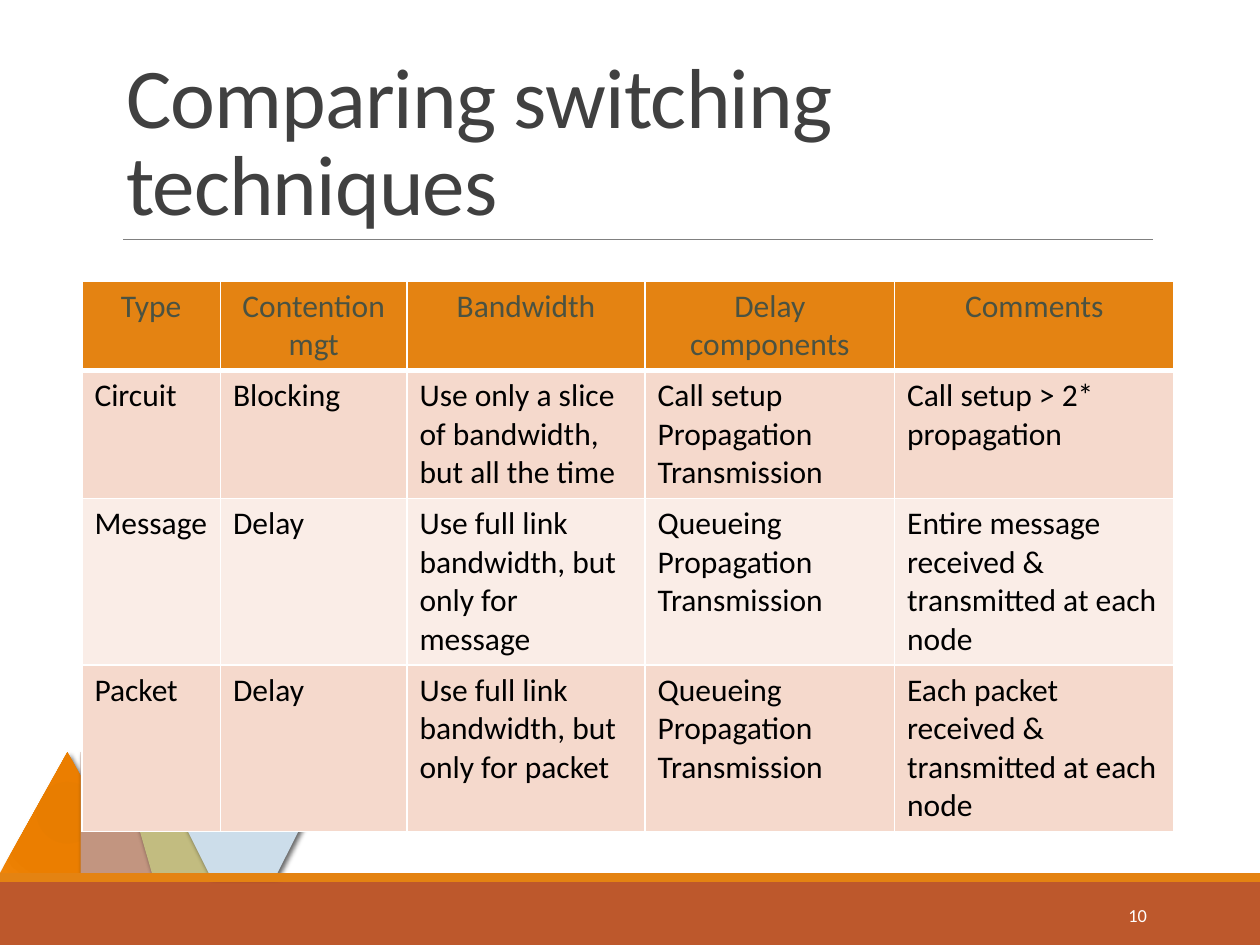
"""Build a slide comparing circuit, message and packet switching."""
from lxml import etree
from pptx import Presentation
from pptx.dml.color import RGBColor
from pptx.enum.shapes import MSO_CONNECTOR, MSO_SHAPE
from pptx.enum.text import MSO_ANCHOR, MSO_AUTO_SIZE, PP_ALIGN
from pptx.oxml import parse_xml
from pptx.oxml.ns import nsdecls, qn
from pptx.util import Inches, Pt

LEFT, CENTER, RIGHT = PP_ALIGN.LEFT, PP_ALIGN.CENTER, PP_ALIGN.RIGHT
TOP, MIDDLE, BOTTOM = MSO_ANCHOR.TOP, MSO_ANCHOR.MIDDLE, MSO_ANCHOR.BOTTOM
NO_FIT = MSO_AUTO_SIZE.NONE
STRAIGHT = MSO_CONNECTOR.STRAIGHT
TRIANGLE, RECTANGLE = MSO_SHAPE.ISOSCELES_TRIANGLE, MSO_SHAPE.RECTANGLE
PENTAGON, HEXAGON = MSO_SHAPE.REGULAR_PENTAGON, MSO_SHAPE.HEXAGON


def rgb(value):
    return RGBColor.from_string(value)


def write(frame, text, size=18, color="000000", align=LEFT, anchor=TOP, line_spacing=None, tracking=None):
    frame.word_wrap = True
    frame.vertical_anchor = anchor
    for index, line in enumerate(text.split("\n")):
        para = frame.add_paragraph() if index else frame.paragraphs[0]
        para.alignment = align
        para.line_spacing = line_spacing
        span = para.add_run()
        span.text = line
        span.font.name = "Calibri"
        span.font.size = Pt(size)
        span.font.color.rgb = rgb(color)
        if tracking is not None:
            span.font._element.set("spc", str(int(tracking * 100)))


deck = Presentation()
deck.slide_width, deck.slide_height = Inches(10), Inches(7.5)
page = deck.slides.add_slide(deck.slide_layouts[5])

decorations = [
    (TRIANGLE, 0, 5.97, 1.07, 0.96, "E87D00", True),
    (RECTANGLE, 0.64, 5.97, 0.87, 0.96, "C29580", True),
    (RECTANGLE, 0, 7, 10, 0.5, "BD582C", False),
    (PENTAGON, 1.03, 5.94, 0.92, 0.99, "C2BC80", True),
    (HEXAGON, 1.43, 6, 1, 0.95, "CCDDEA", True),
    (RECTANGLE, 0, 6.93, 10, 0.07, "E48312", False),
]
for kind, left, top, width, height, color, shadowed in decorations:
    shape = page.shapes.add_shape(kind, Inches(left), Inches(top), Inches(width), Inches(height))
    shape.fill.solid()
    shape.fill.fore_color.rgb = rgb(color)
    shape.line.fill.background()
    shape.shadow.inherit = False
    properties = shape.element.spPr
    if shadowed:
        properties.find(qn("a:effectLst")).append(parse_xml(
            f'<a:outerShdw {nsdecls("a")} blurRad="{Pt(3)}" dist="{Pt(2)}" dir="2700000" rotWithShape="0">'
            '<a:srgbClr val="000000"><a:alpha val="60000"/></a:srgbClr></a:outerShdw>'))
    if kind == TRIANGLE:
        stops = [(0, "E57B00"), (34, "E87D00"), (70, "EB7E00"), (100, "EF8407")]
        stop_xml = "".join(
            f'<a:gs pos="{place * 1000}"><a:srgbClr val="{tone}"/></a:gs>' for place, tone in stops)
        gradient = parse_xml(
            f'<a:gradFill {nsdecls("a")} rotWithShape="1"><a:gsLst>{stop_xml}</a:gsLst><a:path path="circle">'
            '<a:fillToRect l="100000" t="100000" r="100000" b="100000"/></a:path></a:gradFill>')
        properties.replace(properties.find(qn("a:solidFill")), gradient)

rule = page.shapes.add_connector(STRAIGHT, Inches(0.98), Inches(1.9), Inches(9.15), Inches(1.9))
rule.line.color.rgb = rgb("808080")
rule.line.width = Pt(0.5)
etree.SubElement(rule.element.spPr, qn("a:effectLst"))

title = page.shapes.title
title.left, title.top, title.width, title.height = Inches(0.9), Inches(0.31), Inches(8.25), Inches(1.59)
title.text_frame.auto_size = NO_FIT
write(title.text_frame, "Comparing switching techniques", size=48.6, color="404040",
      anchor=BOTTOM, line_spacing=0.85, tracking=-0.5)

delays = "Propagation\nTransmission"
rows = [
    ["Type", "Contention mgt", "Bandwidth", "Delay components", "Comments"],
    ["Circuit", "Blocking", "Use only a slice of bandwidth, but all the time",
     f"Call setup\n{delays}", "Call setup > 2* propagation"],
    ["Message", "Delay", "Use full link bandwidth, but only for message",
     f"Queueing\n{delays}", "Entire message received & transmitted at each node"],
    ["Packet", "Delay", "Use full link bandwidth, but only for packet",
     f"Queueing\n{delays}", "Each packet received & transmitted at each node"],
]
row_fills = ["E48312", "F5D9CC", "FAEDE7", "F5D9CC"]
column_widths = [1.1, 1.48, 1.89, 1.98, 2.22]
table_frame = page.shapes.add_table(
    len(rows), len(column_widths), Inches(0.65), Inches(2.23), Inches(8.67), Inches(4.3))
table = table_frame.table
for column, width in zip(table.columns, column_widths):
    column.width = Inches(width)
for row_index, texts in enumerate(rows):
    table.rows[row_index].height = Inches(0.41)
    header = row_index == 0
    for column_index, text in enumerate(texts):
        cell = table.cell(row_index, column_index)
        cell.fill.solid()
        cell.fill.fore_color.rgb = rgb(row_fills[row_index])
        write(cell.text_frame, text, color="4A5242" if header else "000000",
              align=CENTER if header else LEFT)
        cell_properties = cell._tc.get_or_add_tcPr()
        for position, side in enumerate("LRTB"):
            weight = 3 if header and side == "B" or row_index == 1 and side == "T" else 1
            cell_properties.insert(position, parse_xml(
                f'<a:ln{side} {nsdecls("a")} w="{Pt(weight)}"><a:solidFill>'
                f'<a:srgbClr val="FFFFFF"/></a:solidFill></a:ln{side}>'))
table_frame.height = Inches(4.3)

number_box = page.shapes.add_textbox(Inches(8.12), Inches(7.06), Inches(1.08), Inches(0.4))
write(number_box.text_frame, "10", size=10.5, color="FFFFFF", align=RIGHT, anchor=MIDDLE)

deck.save("out.pptx")
